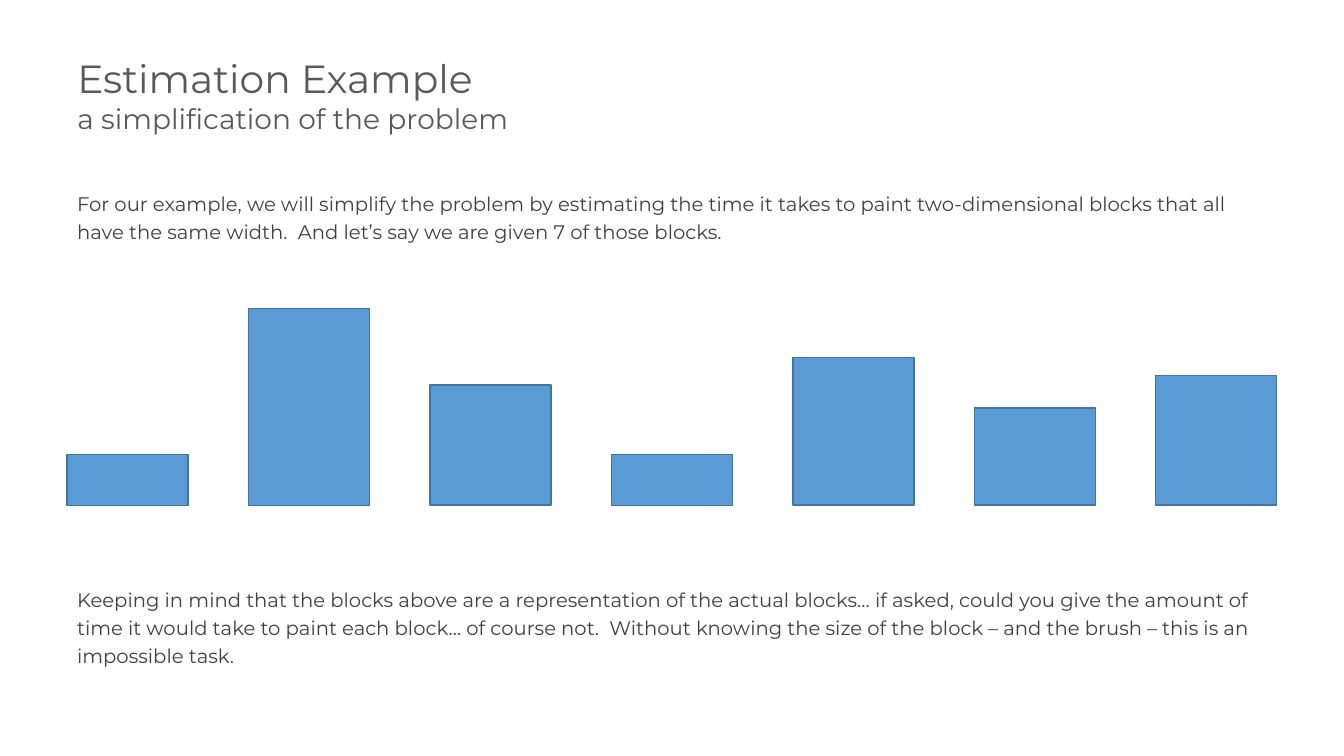
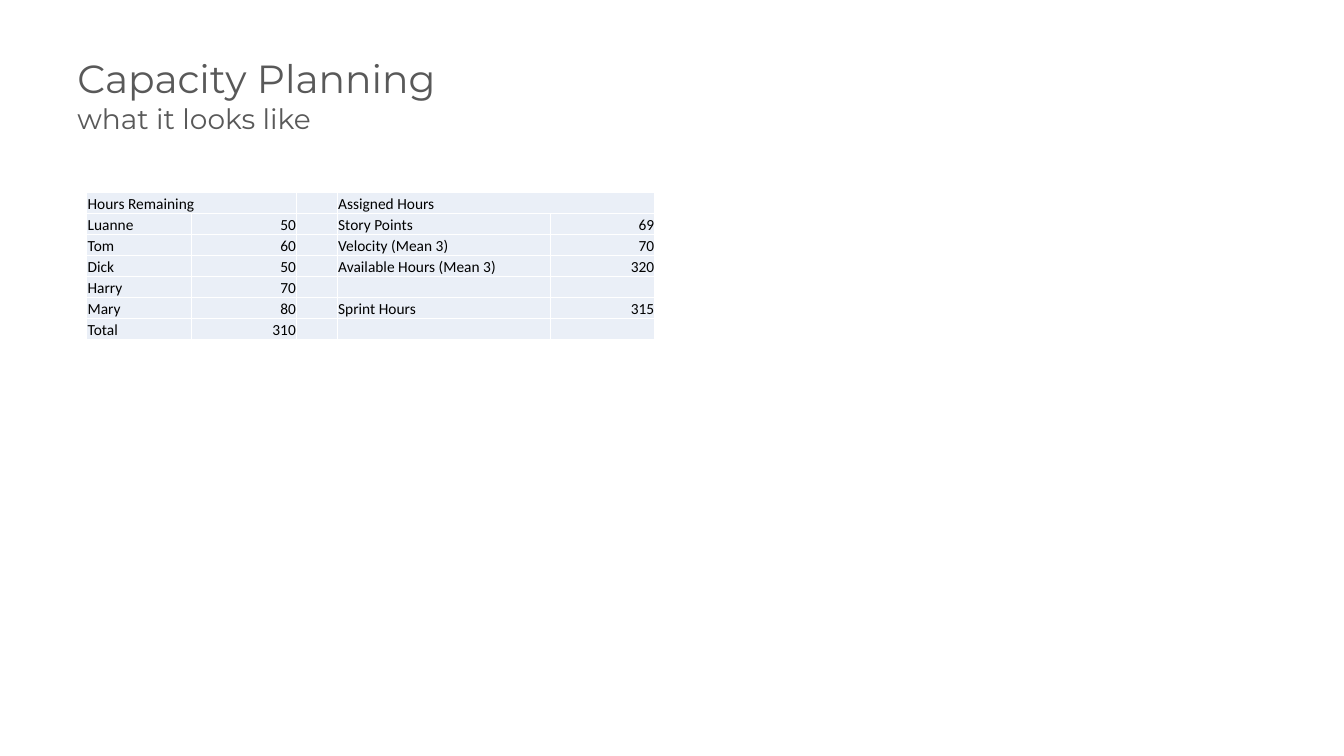
import pptx
import pptx.dml.color
import pptx.enum.shapes
import pptx.enum.text
import pptx.oxml
import pptx.oxml.ns
import pptx.util

Pt = pptx.util.Pt
PP_ALIGN = pptx.enum.text.PP_ALIGN
MSO_ANCHOR = pptx.enum.text.MSO_ANCHOR

HEADING_FONT = "Montserrat"
TABLE_FONT = "Calibri"
TITLE_COLOR = "595959"
BODY_COLOR = "404040"
BLOCK_FILL = "5B9BD5"
BLOCK_LINE = "43739E"
CELL_FILL = "EAEFF7"
CELL_BORDER = "FFFFFF"
TABLE_TEXT = "000000"

LEFT, WIDTH = 48, 864
TITLE_BOX = (LEFT, 35.3, WIDTH, 79.2)
INTRO_BOX = (LEFT, 130.3, WIDTH, 75.6)
BLOCKS_BOX = (LEFT, 220.5, WIDTH, 140.4)
CLOSING_BOX = (LEFT, 413.3, WIDTH, 75.6)

INTRO = (
    "For our example, we will simplify the problem by estimating the time it takes "
    "to paint two-dimensional blocks that all have the same width.  And let’s say "
    "we are given 7 of those blocks."
)
CLOSING = (
    "Keeping in mind that the blocks above are a representation of the actual blocks… "
    "if asked, could you give the amount of time it would take to paint each block… "
    "of course not.  Without knowing the size of the block – and the brush – this is "
    "an impossible task."
)
BLOCK_WIDTH = 86.4
BLOCK_HEIGHTS = [36.3, 140.4, 86, 36.3, 105.4, 69.4, 92.8]

COLUMN_WIDTHS = [75, 75, 29, 152, 75]
ROW_HEIGHT = 15
NUMBER_COLUMNS = (1, 4)
HEADER_SPANS = ((0, 1), (3, 4))
HOURS = [
    ["Hours Remaining", "", "", "Assigned Hours", ""],
    ["Luanne", "50", "", "Story Points", "69"],
    ["Tom", "60", "", "Velocity (Mean 3)", "70"],
    ["Dick", "50", "", "Available Hours (Mean 3)", "320"],
    ["Harry", "70", "", "", ""],
    ["Mary", "80", "", "Sprint Hours", "315"],
    ["Total", "310", "", "", ""],
]


def rgb(value):
    return pptx.dml.color.RGBColor.from_string(value)


def format_runs(p, size, color, font):
    for r in p.runs:
        r.font.size = Pt(size)
        r.font.name = font
        r.font.color.rgb = rgb(color)


def add_titled_slide(prs, title, subtitle):
    s = prs.slides.add_slide(prs.slide_layouts[5])
    sp = s.shapes.title
    sp.left, sp.top, sp.width, sp.height = map(Pt, TITLE_BOX)
    tf = sp.text_frame
    tf.text = f"{title}\n{subtitle}"
    tf.vertical_anchor = MSO_ANCHOR.TOP
    tf.auto_size = pptx.enum.text.MSO_AUTO_SIZE.NONE
    for p, size in zip(tf.paragraphs, (28, 20)):
        p.alignment = PP_ALIGN.LEFT
        format_runs(p, size, TITLE_COLOR, HEADING_FONT)
    return s


def add_body_text(s, box, text):
    tf = s.shapes.add_textbox(*map(Pt, box)).text_frame
    tf.word_wrap = True
    tf.text = text
    p = tf.paragraphs[0]
    p.line_spacing = Pt(20)
    format_runs(p, 14, BODY_COLOR, HEADING_FONT)


def add_blocks(s, box, heights):
    left, top, width, height = box
    pitch = (width - BLOCK_WIDTH) / (len(heights) - 1)
    for i, block_height in enumerate(heights):
        sp = s.shapes.add_shape(
            pptx.enum.shapes.MSO_SHAPE.RECTANGLE,
            Pt(left + i * pitch), Pt(top + height - block_height),
            Pt(BLOCK_WIDTH), Pt(block_height),
        )
        sp.shadow.inherit = False
        sp.fill.solid()
        sp.fill.fore_color.rgb = rgb(BLOCK_FILL)
        sp.line.color.rgb = rgb(BLOCK_LINE)
        sp.line.width = Pt(1)


def add_borders(cell):
    tc_pr = cell._tc.get_or_add_tcPr()
    for side in ("lnL", "lnR", "lnT", "lnB"):
        tc_pr.append(pptx.oxml.parse_xml(
            f'<a:{side} {pptx.oxml.ns.nsdecls("a")} w="{Pt(1)}"><a:solidFill>'
            f'<a:srgbClr val="{CELL_BORDER}"/></a:solidFill></a:{side}>'
        ))


def format_cell(cell, text, alignment):
    add_borders(cell)
    cell.fill.solid()
    cell.fill.fore_color.rgb = rgb(CELL_FILL)
    cell.margin_left = cell.margin_right = cell.margin_top = Pt(0.6)
    cell.margin_bottom = Pt(0)
    cell.vertical_anchor = MSO_ANCHOR.BOTTOM
    cell.text_frame.text = text
    p = cell.text_frame.paragraphs[0]
    p.alignment = alignment
    format_runs(p, 11, TABLE_TEXT, TABLE_FONT)
    if not text:
        p._p.get_or_add_endParaRPr().set("sz", "1100")


def add_hours_table(s, left, top, rows):
    table = s.shapes.add_table(
        len(rows), len(COLUMN_WIDTHS), Pt(left), Pt(top),
        Pt(sum(COLUMN_WIDTHS)), Pt(ROW_HEIGHT * len(rows)),
    ).table
    table.first_row = table.horz_banding = False
    for column, width in zip(table.columns, COLUMN_WIDTHS):
        column.width = Pt(width)
    for i, values in enumerate(rows):
        table.rows[i].height = Pt(ROW_HEIGHT)
        for j, text in enumerate(values):
            alignment = PP_ALIGN.RIGHT if j in NUMBER_COLUMNS else PP_ALIGN.LEFT
            format_cell(table.cell(i, j), text, alignment)
    for first, last in HEADER_SPANS:
        table.cell(0, first).merge(table.cell(0, last))


def build_estimation_slide(prs):
    s = add_titled_slide(prs, "Estimation Example", "a simplification of the problem")
    add_body_text(s, INTRO_BOX, INTRO)
    add_blocks(s, BLOCKS_BOX, BLOCK_HEIGHTS)
    add_body_text(s, CLOSING_BOX, CLOSING)


def build_capacity_slide(prs):
    s = add_titled_slide(prs, "Capacity Planning", "what it looks like")
    add_hours_table(s, 62, 137.5, HOURS)


def main():
    prs = pptx.Presentation()
    prs.slide_width, prs.slide_height = Pt(960), Pt(540)
    build_estimation_slide(prs)
    build_capacity_slide(prs)
    prs.save("out.pptx")


if __name__ == "__main__":
    main()
